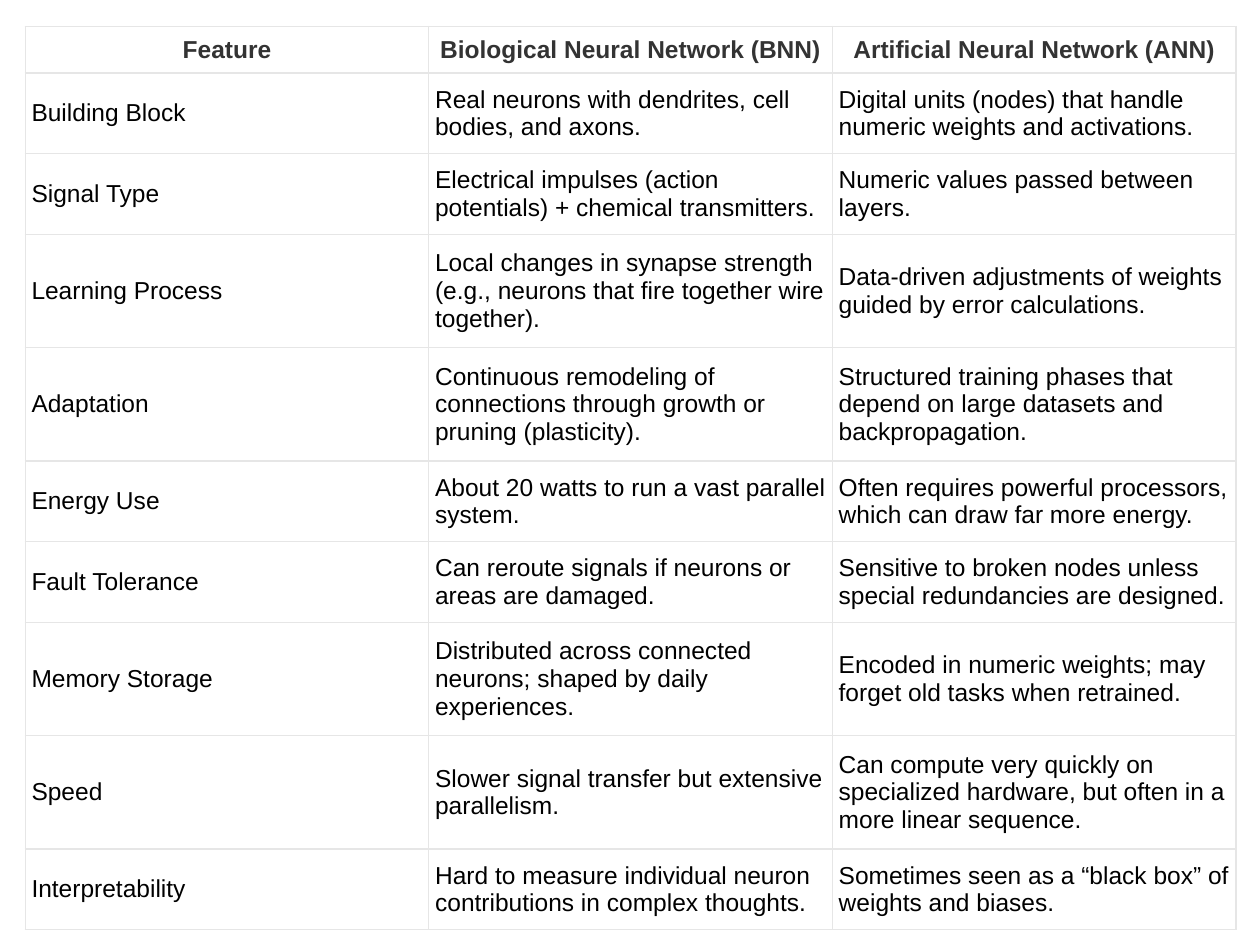
from lxml.etree import SubElement
from pptx import Presentation
from pptx.dml.color import RGBColor
from pptx.enum.text import MSO_ANCHOR as Anchor, PP_ALIGN as Align
from pptx.oxml.ns import qn
from pptx.util import Inches, Pt

WHITE = RGBColor(0xFF, 0xFF, 0xFF)
BLACK = RGBColor(0x00, 0x00, 0x00)
HEADER_GRAY = RGBColor(0x33, 0x33, 0x33)
BORDER_GRAY = RGBColor(0xE6, 0xE6, 0xE6)

COMPARISON = [
    ("Feature", "Biological Neural Network (BNN)", "Artificial Neural Network (ANN)"),
    ("Building Block",
     "Real neurons with dendrites, cell bodies, and axons.",
     "Digital units (nodes) that handle numeric weights and activations."),
    ("Signal Type",
     "Electrical impulses (action potentials) + chemical transmitters.",
     "Numeric values passed between layers."),
    ("Learning Process",
     "Local changes in synapse strength (e.g., neurons that fire together wire together).",
     "Data-driven adjustments of weights guided by error calculations."),
    ("Adaptation",
     "Continuous remodeling of connections through growth or pruning (plasticity).",
     "Structured training phases that depend on large datasets and backpropagation."),
    ("Energy Use",
     "About 20 watts to run a vast parallel system.",
     "Often requires powerful processors, which can draw far more energy."),
    ("Fault Tolerance",
     "Can reroute signals if neurons or areas are damaged.",
     "Sensitive to broken nodes unless special redundancies are designed."),
    ("Memory Storage",
     "Distributed across connected neurons; shaped by daily experiences.",
     "Encoded in numeric weights; may forget old tasks when retrained."),
    ("Speed",
     "Slower signal transfer but extensive parallelism.",
     "Can compute very quickly on specialized hardware, but often in a more linear sequence."),
    ("Interpretability",
     "Hard to measure individual neuron contributions in complex thoughts.",
     "Sometimes seen as a “black box” of weights and biases."),
]
HEADER, TWO_LINES, THREE_LINES = 0.37, 0.64, 0.9
ROW_HEIGHTS = [HEADER, TWO_LINES, TWO_LINES, THREE_LINES, THREE_LINES,
               TWO_LINES, TWO_LINES, THREE_LINES, THREE_LINES, TWO_LINES]


def write_text(cell, text, size=14, color=BLACK, bold=False, align=Align.LEFT):
    paragraph = cell.text_frame.paragraphs[0]
    paragraph.alignment = align
    run = paragraph.add_run()
    run.text = text
    run.font.name = "Arial"
    run.font.size = Pt(size)
    run.font.bold = bold
    run.font.color.rgb = color


def add_borders(cell, color, width):
    properties = cell._tc.get_or_add_tcPr()
    for side in ("a:lnL", "a:lnR", "a:lnT", "a:lnB"):
        line = SubElement(properties, qn(side), w=str(Pt(width)))
        fill = SubElement(line, qn("a:solidFill"))
        SubElement(fill, qn("a:srgbClr"), val=str(color))


presentation = Presentation()
presentation.slide_width = Inches(10)
presentation.slide_height = Inches(7.5)
slide = presentation.slides.add_slide(presentation.slide_layouts[6])

table = slide.shapes.add_table(
    len(COMPARISON), 3, Inches(0.2), Inches(0.21), Inches(9.61), Inches(7.17)
).table
table.horz_banding = False

for row, height, texts in zip(table.rows, ROW_HEIGHTS, COMPARISON):
    row.height = Inches(height)
    for cell, text in zip(row.cells, texts):
        cell.margin_left = cell.margin_right = Inches(0.05)
        cell.margin_top = cell.margin_bottom = Inches(0.05)
        cell.vertical_anchor = Anchor.MIDDLE
        add_borders(cell, BORDER_GRAY, 0.75)
        cell.fill.solid()
        cell.fill.fore_color.rgb = WHITE
        if height == HEADER:
            write_text(cell, text, color=HEADER_GRAY, bold=True, align=Align.CENTER)
        else:
            write_text(cell, text)

presentation.save("out.pptx")
